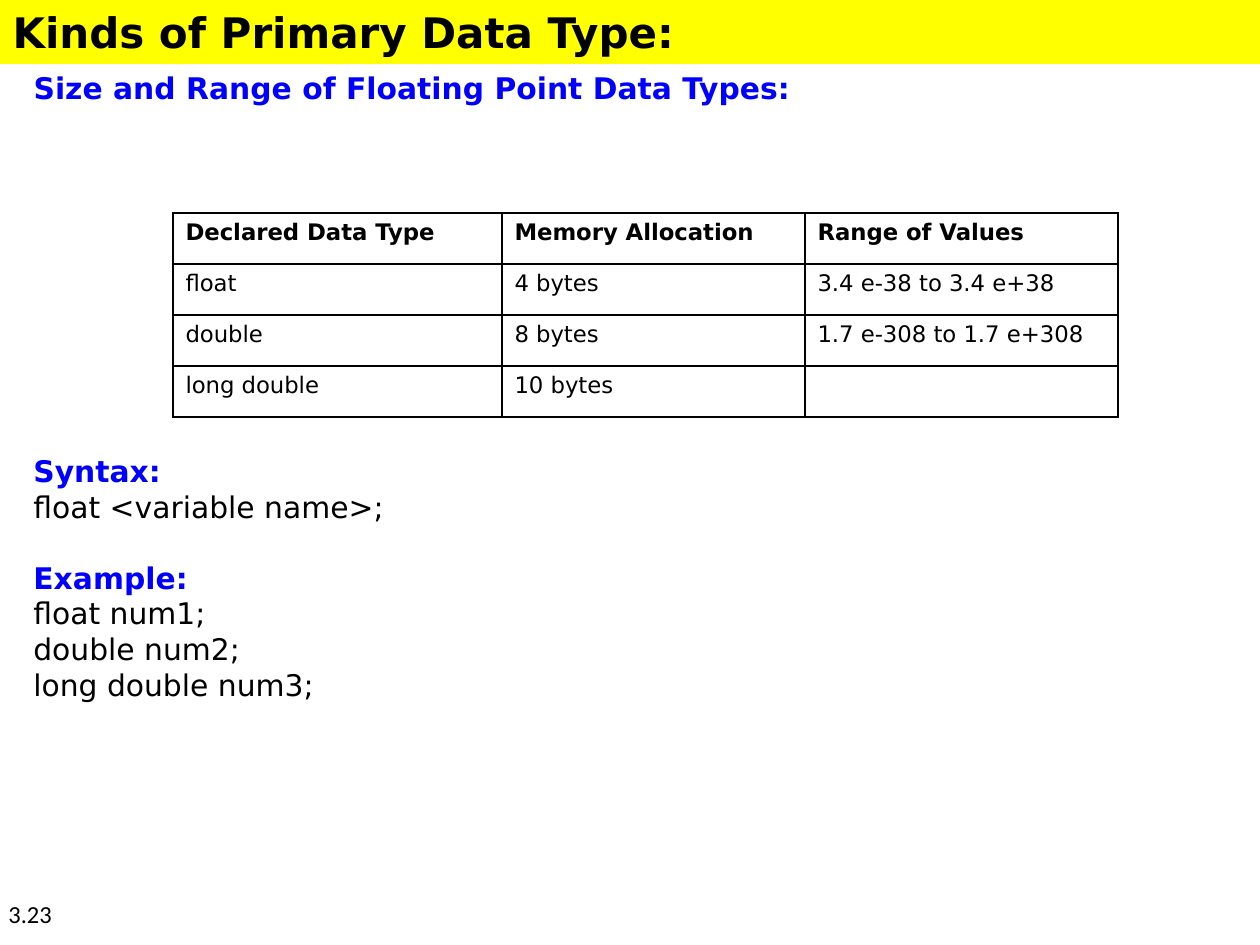
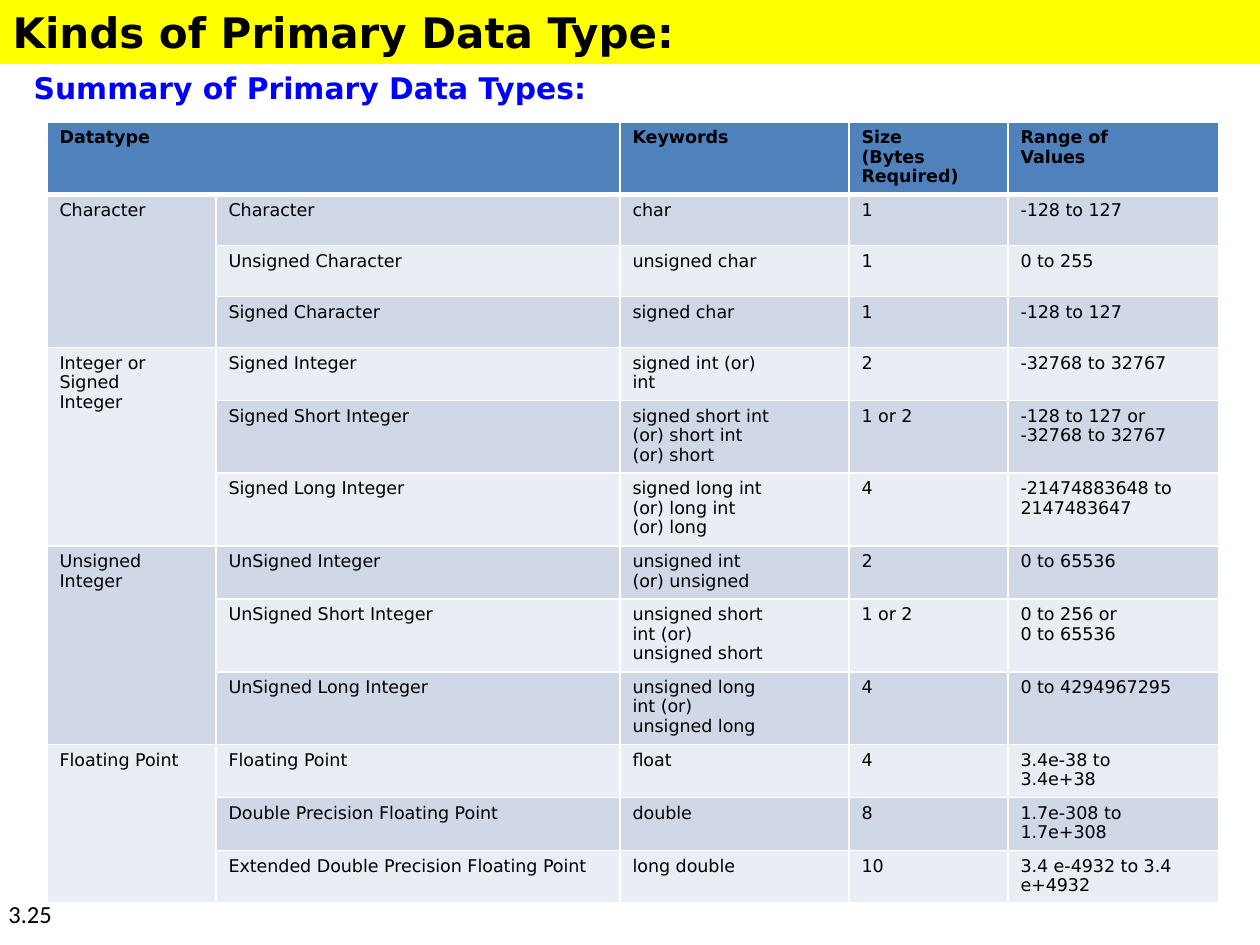
from lxml import etree
from pptx import Presentation
from pptx.dml.color import RGBColor
from pptx.enum.text import MSO_ANCHOR, MSO_AUTO_SIZE, PP_ALIGN
from pptx.oxml.ns import qn
from pptx.util import Pt

EMU_PER_PX = 914400 / 126
SLIDE_WIDTH, SLIDE_HEIGHT = 1260, 945

BLACK = RGBColor(0x00, 0x00, 0x00)
WHITE = RGBColor(0xFF, 0xFF, 0xFF)
BLUE = RGBColor(0x00, 0x00, 0xFF)
YELLOW = RGBColor(0xFF, 0xFF, 0x00)
HEADER_BLUE = RGBColor(0x4F, 0x81, 0xBD)
BAND_DARK = RGBColor(0xD0, 0xD8, 0xE8)
BAND_LIGHT = RGBColor(0xE9, 0xED, 0xF4)

MAIN_FONT = "DejaVu Sans"
NUMBER_FONT = "Calibri"
MIDDLE = MSO_ANCHOR.MIDDLE
LEFT = PP_ALIGN.LEFT
NO_AUTOFIT = MSO_AUTO_SIZE.NONE

TITLE = "Kinds of Primary Data Type:"

FLOAT_ROWS = [
    ("Declared Data Type", "Memory Allocation", "Range of Values"),
    ("float", "4 bytes", "3.4 e-38 to 3.4 e+38"),
    ("double", "8 bytes", "1.7 e-308 to 1.7 e+308"),
    ("long double", "10 bytes", ""),
]

USAGE = [
    ("Syntax:", ["float <variable name>;"]),
    ("Example:", ["float num1;", "double num2;", "long double num3;"]),
]

SUMMARY_HEADER = ("Datatype", "", "Keywords", "Size\n(Bytes\nRequired)", "Range of\nValues")
SUMMARY_GROUPS = [
    ("Character", [
        ("Character", "char", "1", "-128 to 127"),
        ("Unsigned Character", "unsigned char", "1", "0 to 255"),
        ("Signed Character", "signed char", "1", "-128 to 127"),
    ]),
    ("Integer or\nSigned\nInteger", [
        ("Signed Integer", "signed int (or)\nint", "2", "-32768 to 32767"),
        ("Signed Short Integer", "signed short int\n(or) short int\n(or) short",
         "1 or 2", "-128 to 127 or\n-32768 to 32767"),
        ("Signed Long Integer", "signed long int\n(or) long int\n(or) long",
         "4", "-21474883648 to\n2147483647"),
    ]),
    ("Unsigned\nInteger", [
        ("UnSigned Integer", "unsigned int\n(or) unsigned", "2", "0 to 65536"),
        ("UnSigned Short Integer", "unsigned short\nint (or)\nunsigned short",
         "1 or 2", "0 to 256 or\n0 to 65536"),
        ("UnSigned Long Integer", "unsigned long\nint (or)\nunsigned long",
         "4", "0 to 4294967295"),
    ]),
    ("Floating Point", [
        ("Floating Point", "float", "4", "3.4e-38 to\n3.4e+38"),
        ("Double Precision Floating Point", "double", "8", "1.7e-308 to 1.7e+308"),
        ("Extended Double Precision Floating Point", "long double",
         "10", "3.4 e-4932 to 3.4\ne+4932"),
    ]),
]
SUMMARY_HEIGHTS = [72, 51, 51, 51, 53, 72, 73, 53, 72, 72, 53, 53, 52]


def px(length):
    return round(length * EMU_PER_PX)


def place(shape, left, top, width, height):
    shape.left, shape.top = px(left), px(top)
    shape.width, shape.height = px(width), px(height)


def format_runs(paragraph, size, color=BLACK, bold=False, font=MAIN_FONT):
    for run in paragraph.runs:
        run.font.name = font
        run.font.size = Pt(size)
        run.font.bold = bold
        run.font.color.rgb = color


def fill_placeholder(placeholder, text, size, color):
    frame = placeholder.text_frame
    frame.text = text
    frame.auto_size = NO_AUTOFIT
    frame.vertical_anchor = MIDDLE
    paragraph = frame.paragraphs[0]
    properties = paragraph._p.get_or_add_pPr()
    properties.set("marL", "0")
    properties.set("indent", "0")
    etree.SubElement(properties, qn("a:buNone"))
    paragraph.alignment = LEFT
    paragraph.space_before = Pt(0)
    format_runs(paragraph, size, color, bold=True)


def add_lesson_slide(deck, heading, number):
    slide = deck.slides.add_slide(deck.slide_layouts[1])
    title, section = slide.placeholders
    place(title, 0, 0, SLIDE_WIDTH, 64)
    title.fill.solid()
    title.fill.fore_color.rgb = YELLOW
    fill_placeholder(title, TITLE, 24, BLACK)
    place(section, 21, 63, 1197, 49)
    fill_placeholder(section, heading, 17, BLUE)

    page = slide.shapes.add_textbox(px(-4), px(893), px(103), px(52)).text_frame
    page.word_wrap = True
    page.text = number
    format_runs(page.paragraphs[0], 14, font=NUMBER_FONT)
    return slide


def set_borders(cell, color, bottom_width=1):
    properties = cell._tc.get_or_add_tcPr()
    for side, width in (("L", 1), ("R", 1), ("T", 1), ("B", bottom_width)):
        line = etree.SubElement(properties, qn(f"a:ln{side}"), w=str(Pt(width)))
        solid = etree.SubElement(line, qn("a:solidFill"))
        etree.SubElement(solid, qn("a:srgbClr"), val=str(color))


def add_grid(slide, left, top, widths, heights, rows, size, spacing,
             border, header_border=1, header_fill=None, bands=None):
    table = slide.shapes.add_table(
        len(rows), len(widths), px(left), px(top), px(sum(widths)), px(sum(heights))
    ).table
    table.horz_banding = False
    for column, width in zip(table.columns, widths):
        column.width = px(width)
    for index, (row, height, texts) in enumerate(zip(table.rows, heights, rows)):
        is_header = index == 0
        row.height = px(height)
        for cell, text in zip(row.cells, texts):
            cell.text = text
            for paragraph in cell.text_frame.paragraphs:
                paragraph.line_spacing = spacing
                format_runs(paragraph, size, bold=is_header)
            set_borders(cell, border, header_border if is_header else 1)
            if bands:
                cell.fill.solid()
                cell.fill.fore_color.rgb = header_fill if is_header else bands[(index - 1) % 2]
            else:
                cell.fill.background()
    return table


def add_usage(slide):
    frame = slide.shapes.add_textbox(px(21), px(445), px(1197), px(265)).text_frame
    frame.word_wrap = True
    frame.vertical_anchor = MIDDLE
    frame.text = "\n".join(line for label, code in USAGE for line in [label, *code])
    labels = [label for label, _ in USAGE]
    for index, paragraph in enumerate(frame.paragraphs):
        is_label = paragraph.text in labels
        if is_label and index:
            paragraph.space_before = Pt(20)
        format_runs(paragraph, 17, BLUE if is_label else BLACK, bold=is_label)


def add_summary(slide):
    rows = [SUMMARY_HEADER]
    for group, members in SUMMARY_GROUPS:
        for position, member in enumerate(members):
            rows.append(("" if position else group, *member))
    table = add_grid(slide, 47, 122, [169, 404, 229, 159, 211], SUMMARY_HEIGHTS, rows,
                     10, 0.95, WHITE, 3, HEADER_BLUE, (BAND_DARK, BAND_LIGHT))
    table.cell(0, 0).merge(table.cell(0, 1))
    first = 1
    for _, members in SUMMARY_GROUPS:
        last = first + len(members) - 1
        table.cell(first, 0).merge(table.cell(last, 0))
        first = last + 1


def main():
    deck = Presentation()
    deck.slide_width, deck.slide_height = px(SLIDE_WIDTH), px(SLIDE_HEIGHT)

    floating = add_lesson_slide(deck, "Size and Range of Floating Point Data Types:", "3.23")
    add_grid(floating, 173, 213, [329, 303, 313], [51] * len(FLOAT_ROWS),
             FLOAT_ROWS, 13, 1.0, BLACK)
    add_usage(floating)

    summary = add_lesson_slide(deck, "Summary of Primary Data Types:", "3.25")
    add_summary(summary)

    deck.save("out.pptx")


if __name__ == "__main__":
    main()
